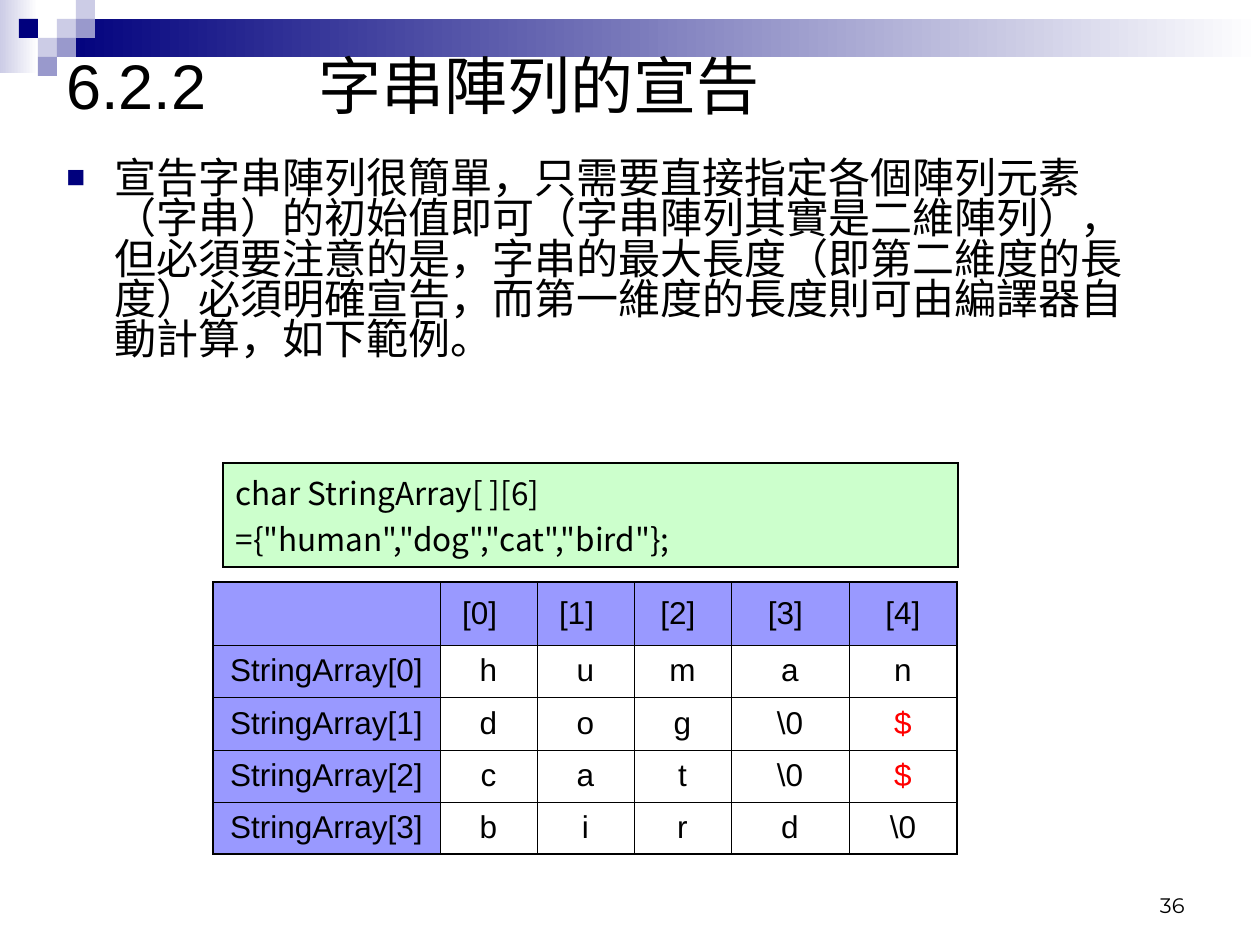
from dataclasses import dataclass
from lxml.etree import SubElement
from pptx import Presentation
from pptx.dml.color import RGBColor
from pptx.enum.shapes import MSO_SHAPE
from pptx.enum.text import MSO_ANCHOR, PP_ALIGN
from pptx.oxml import parse_xml
from pptx.oxml.ns import nsdecls, qn
from pptx.util import Pt

SCALE = 914400 / 126


@dataclass(frozen=True)
class Theme:
    ink: str = "000000"
    paper: str = "FFFFFF"
    navy: str = "00007D"
    violet: str = "9999CC"
    pale: str = "CCCCE6"
    code_fill: str = "CCFFCC"
    head_fill: str = "9999FF"
    alert: str = "FF0000"
    latin: str = "Arial"
    cjk: str = "Noto Sans CJK TC"
    number_face: str = "Montserrat"
    title_size: int = 36
    body_size: int = 24
    table_size: int = 18
    number_size: int = 12
    thick: float = 1.08
    thin: float = 0.45


THEME = Theme()


def px(length):
    return round(length * SCALE)


def apply_formats(target, formats):
    for name, value in formats.items():
        setattr(target, name, value)


def write(para, text, size, face=THEME.latin, color=THEME.ink):
    span = para.add_run()
    span.text = text
    apply_formats(span.font, {"size": Pt(size), "name": face})
    span.font.color.rgb = RGBColor.from_string(color)
    SubElement(span.font._element, qn("a:ea")).set("typeface", THEME.cjk)


def add_text_box(page, box, anchor):
    frame = page.shapes.add_textbox(*map(px, box)).text_frame
    apply_formats(frame, {"word_wrap": True, "vertical_anchor": anchor})
    return frame.paragraphs[0]


def add_block(page, box, color, fade=False):
    block = page.shapes.add_shape(MSO_SHAPE.RECTANGLE, *map(px, box))
    block.shadow.inherit = False
    block.line.fill.background()
    if fade:
        block.fill.gradient()
        block.fill.gradient_angle = 180
        for stop, shade in zip(block.fill.gradient_stops, (THEME.paper, color)):
            stop.color.rgb = RGBColor.from_string(shade)
    else:
        block.fill.solid()
        block.fill.fore_color.rgb = RGBColor.from_string(color)


def add_banner(page, box):
    left, top, width, height = box
    side = 19
    add_block(page, (left, top, 2 * side, height), THEME.pale, fade=True)
    add_block(page, (left + 3 * side, top + side, width - 3 * side, 2 * side), THEME.navy, fade=True)
    squares = [
        (3, 1, THEME.pale), (4, 0, THEME.pale), (4, 1, THEME.violet), (2, 2, THEME.pale),
        (1, 1, THEME.navy), (3, 2, THEME.violet), (2, 3, THEME.violet),
    ]
    for column, row, color in squares:
        add_block(page, (left + column * side, top + row * side, side, side), color)


def add_title(page, box, text):
    para = add_text_box(page, box, MSO_ANCHOR.MIDDLE)
    tabs = SubElement(para._p.get_or_add_pPr(), qn("a:tabLst"))
    SubElement(tabs, qn("a:tab"), pos=str(px(252)), algn="l")
    write(para, text, THEME.title_size)


def add_body(page, box, text):
    para = add_text_box(page, box, MSO_ANCHOR.TOP)
    properties = para._p.get_or_add_pPr()
    properties.set("marL", str(px(48)))
    properties.set("indent", str(px(-48)))
    color = SubElement(properties, qn("a:buClr"))
    SubElement(color, qn("a:srgbClr"), val=THEME.navy)
    SubElement(properties, qn("a:buSzPct"), val="75000")
    SubElement(properties, qn("a:buFont"), typeface=THEME.latin)
    SubElement(properties, qn("a:buChar"), char="■")
    para.line_spacing = 0.8
    write(para, text, THEME.body_size)


def set_borders(cell, widths):
    properties = cell._tc.get_or_add_tcPr()
    for index, (side, width) in enumerate(zip("LRTB", widths)):
        properties.insert(index, parse_xml(
            f'<a:ln{side} {nsdecls("a")} w="{Pt(width)}"><a:solidFill>'
            f'<a:srgbClr val="{THEME.ink}"/></a:solidFill></a:ln{side}>'
        ))


def add_grid(page, left, top, columns, rows):
    box = (left, top, sum(columns), sum(rows))
    grid = page.shapes.add_table(len(rows), len(columns), *map(px, box)).table
    apply_formats(grid, {"first_row": False, "horz_banding": False})
    for column, width in zip(grid.columns, columns):
        column.width = px(width)
    for row, height in zip(grid.rows, rows):
        row.height = px(height)
    return grid


def fill_cell(cell, text, fill, borders, **style):
    cell.vertical_anchor = MSO_ANCHOR.MIDDLE
    if fill:
        cell.fill.solid()
        cell.fill.fore_color.rgb = RGBColor.from_string(fill)
    else:
        cell.fill.background()
    set_borders(cell, borders)
    if text:
        write(cell.text_frame.paragraphs[0], text, THEME.table_size, **style)


def add_code(page, box, text):
    left, top, width, height = box
    cell = add_grid(page, left, top, [width], [height]).cell(0, 0)
    fill_cell(cell, text, THEME.code_fill, [THEME.thick] * 4, face=THEME.cjk)


def add_array_table(page, left, top, words):
    columns = [227, 97, 97, 97, 118, 108]
    rows = [63, 52, 53, 52, 52]
    header_shift = [0, 18, 18, 9, 9, 0]
    records = [["", *(f"[{index}]" for index in range(5))]]
    records += [[f"StringArray[{index}]", *word] for index, word in enumerate(words)]
    grid = add_grid(page, left, top, columns, rows)
    for row, record in enumerate(records):
        for column, text in enumerate(record):
            cell = grid.cell(row, column)
            edges = (column == 0, column == len(columns) - 1, row == 0, row == len(rows) - 1)
            borders = [THEME.thick if edge else THEME.thin for edge in edges]
            fill = THEME.head_fill if row == 0 or column == 0 else None
            color = THEME.alert if text == "$" else THEME.ink
            fill_cell(cell, text, fill, borders, color=color)
            cell.text_frame.paragraphs[0].alignment = PP_ALIGN.CENTER
            if row == 0:
                cell.margin_right = px(12.6 + header_shift[column])


def add_page_number(page, box, number):
    para = add_text_box(page, box, MSO_ANCHOR.BOTTOM)
    para.alignment = PP_ALIGN.RIGHT
    write(para, number, THEME.number_size, THEME.number_face)


def main():
    deck = Presentation()
    apply_formats(deck, {"slide_width": px(1260), "slide_height": px(945)})
    page = deck.slides.add_slide(deck.slide_layouts[6])
    add_banner(page, (0, 0, 1260, 73))
    add_title(page, (54, 26, 1103, 116), "6.2.2\t字串陣列的宣告")
    add_body(
        page, (54, 155, 1114, 238),
        "宣告字串陣列很簡單，只需要直接指定各個陣列元素（字串）的初始值即可"
        "（字串陣列其實是二維陣列），但必須要注意的是，字串的最大長度"
        "（即第二維度的長度）必須明確宣告，而第一維度的長度則可由編譯器自動計算，如下範例。",
    )
    add_code(page, (223, 463, 735, 104), 'char StringArray[ ][6] ={"human","dog","cat","bird"};')
    words = ["human", ["d", "o", "g", r"\0", "$"], ["c", "a", "t", r"\0", "$"], ["b", "i", "r", "d", r"\0"]]
    add_array_table(page, 213, 582, words)
    add_page_number(page, (903, 861, 294, 63), "36")
    deck.save("out.pptx")


if __name__ == "__main__":
    main()
